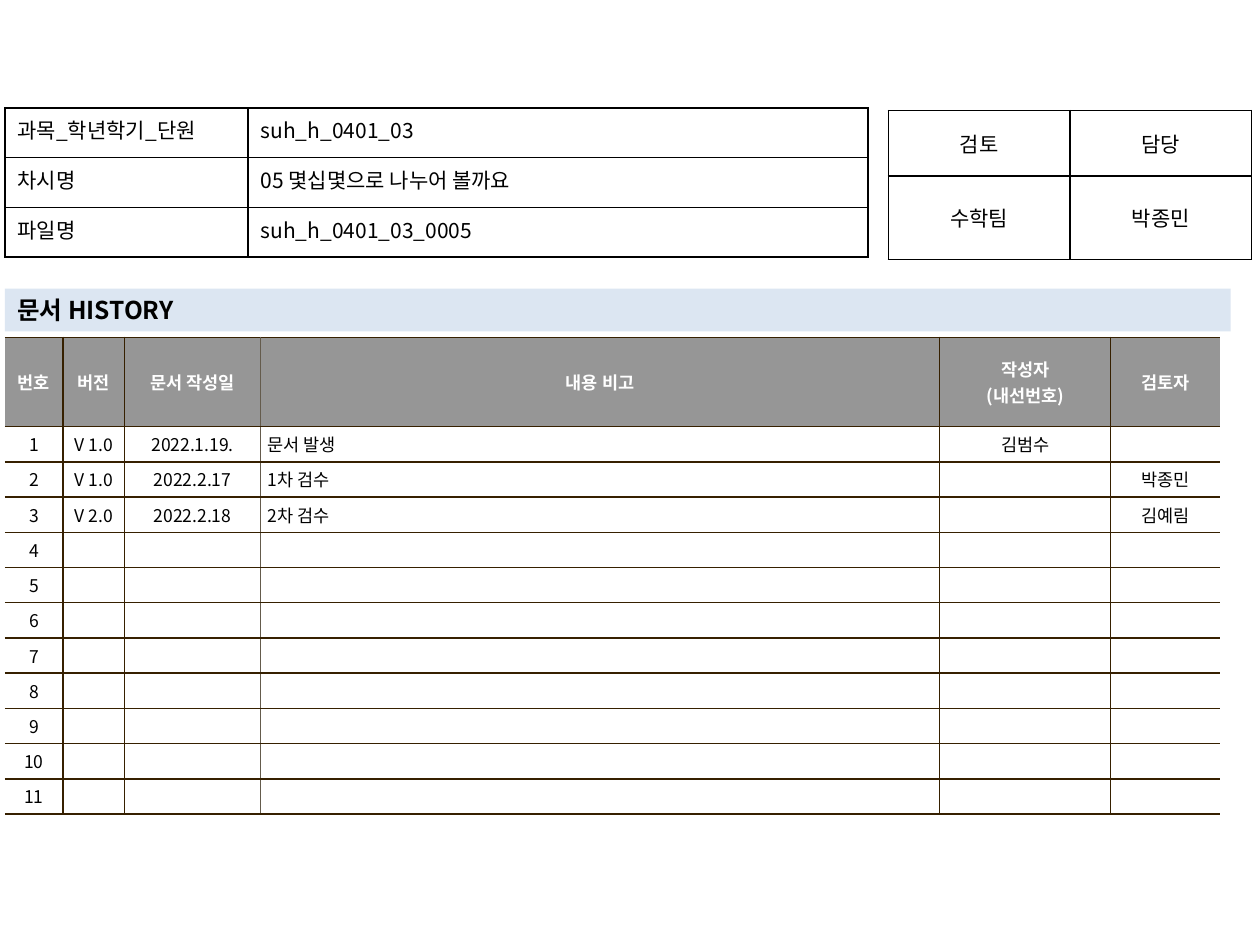
from dataclasses import dataclass

import pptx
import pptx.dml.color
import pptx.enum.shapes
import pptx.enum.text
import pptx.oxml.ns
import pptx.util
from lxml import etree
from pptx.dml.color import RGBColor
from pptx.enum.text import MSO_ANCHOR, PP_ALIGN
from pptx.util import Cm, Pt

FONT = "Noto Sans CJK KR"
BLACK = RGBColor(0x00, 0x00, 0x00)
WHITE = RGBColor(0xFF, 0xFF, 0xFF)
GRAY = RGBColor(0x96, 0x96, 0x96)
BROWN = RGBColor(0x36, 0x20, 0x00)
TAUPE = RGBColor(0x64, 0x5B, 0x4C)
PALE_BLUE = RGBColor(0xDC, 0xE6, 0xF2)


@dataclass(frozen=True)
class TextStyle:
    size: int
    color: RGBColor = BLACK
    bold: bool = False
    align: PP_ALIGN = PP_ALIGN.CENTER
    hanging: float = 0


@dataclass(frozen=True)
class Grid:
    left: float
    top: float
    columns: list[float]
    rows: list[float]
    texts: list[list[str]]


BODY = TextStyle(12)
LABEL = TextStyle(12, align=PP_ALIGN.JUSTIFY)
VALUE = TextStyle(12, align=PP_ALIGN.LEFT)
HEADING = TextStyle(14, bold=True, align=PP_ALIGN.LEFT)
HISTORY_HEAD = TextStyle(10, WHITE, True)
HISTORY_BODY = TextStyle(10)
HISTORY_NOTE = TextStyle(10, align=PP_ALIGN.LEFT, hanging=0.48)

# Content
LESSON = Grid(0.1, 2.18, [4.9, 12.5], [1.0] * 3, [
    ["과목_학년학기_단원 ", "suh_h_0401_03"],
    ["차시명", "05 몇십몇으로 나누어 볼까요"],
    ["파일명", "suh_h_0401_03_0005"],
])
REVIEW = Grid(17.91, 2.23, [3.66, 3.66], [1.32, 1.68], [
    ["검토", "담당"],
    ["수학팀", "박종민"],
])
HISTORY_ENTRIES = [
    ["V 1.0", "2022.1.19.", "문서 발생", "김범수", ""],
    ["V 1.0", "2022.2.17", "1차 검수", "", "박종민"],
    ["V 2.0", "2022.2.18", "2차 검수", "", "김예림"],
] + [[""] * 5] * 8
HISTORY = Grid(0.1, 6.8, [1.17, 1.24, 2.74, 13.69, 3.45, 2.21], [1.8] + [0.71] * 11, [
    ["번호", "버전", "문서 작성일", "내용 비고", "작성자\n(내선번호)", "검토자"],
    *([str(number), *entry] for number, entry in enumerate(HISTORY_ENTRIES, 1)),
])


def style_text(frame, style: TextStyle) -> None:
    for para in frame.paragraphs:
        para.alignment = style.align
        if style.hanging:
            properties = para._p.get_or_add_pPr()
            properties.set("marL", str(Cm(style.hanging)))
            properties.set("indent", str(-Cm(style.hanging)))
        font = para.font
        font.size = Pt(style.size)
        font.bold = style.bold
        font.color.rgb = style.color
        font.name = FONT
        east_asian = etree.SubElement(font._rPr, pptx.oxml.ns.qn("a:ea"))
        east_asian.set("typeface", FONT)


def set_border(cell, side: str, color: RGBColor | None) -> None:
    """Draw one side of a cell, or clear it when there is no colour."""
    qn = pptx.oxml.ns.qn
    line = etree.SubElement(cell._tc.get_or_add_tcPr(), qn(f"a:ln{side}"), w=str(Pt(1)))
    if color is None:
        etree.SubElement(line, qn("a:noFill"))
    else:
        fill = etree.SubElement(line, qn("a:solidFill"))
        etree.SubElement(fill, qn("a:srgbClr"), val=str(color))


def add_grid(page, grid: Grid):
    frame = page.shapes.add_table(
        len(grid.rows), len(grid.columns), Cm(grid.left), Cm(grid.top),
        Cm(sum(grid.columns)), Cm(sum(grid.rows)))
    table = frame.table
    table.first_row = table.horz_banding = False
    for column, width in zip(table.columns, grid.columns):
        column.width = Cm(width)
    for row, height in zip(table.rows, grid.rows):
        row.height = Cm(height)
    for row, texts in zip(table.rows, grid.texts):
        for cell, text in zip(row.cells, texts):
            cell.text = text
    return table


def add_info_table(page, grid: Grid, styles: list[TextStyle], anchor: MSO_ANCHOR) -> None:
    for row in add_grid(page, grid).rows:
        for cell, style in zip(row.cells, styles):
            cell.vertical_anchor = anchor
            for side in "LRTB":
                set_border(cell, side, BLACK)
            cell.fill.background()
            style_text(cell.text_frame, style)


def add_history_table(page) -> None:
    # Vertical rules from left to right; the outer sides stay open
    rules = [None, BROWN, BROWN, TAUPE, BROWN, BROWN, None]
    note_column = 3
    for row_index, row in enumerate(add_grid(page, HISTORY).rows):
        for column_index, cell in enumerate(row.cells):
            cell.vertical_anchor = MSO_ANCHOR.MIDDLE
            cell.margin_left = cell.margin_right = Cm(0.15)
            cell.margin_top = cell.margin_bottom = Cm(0.1)
            set_border(cell, "L", rules[column_index])
            set_border(cell, "R", rules[column_index + 1])
            set_border(cell, "T", BROWN)
            set_border(cell, "B", BROWN)
            cell.fill.solid()
            cell.fill.fore_color.rgb = WHITE if row_index else GRAY
            if row_index == 0:
                style = HISTORY_HEAD
            else:
                style = HISTORY_NOTE if column_index == note_column else HISTORY_BODY
            style_text(cell.text_frame, style)


def add_heading(page) -> None:
    box = page.shapes.add_shape(
        pptx.enum.shapes.MSO_SHAPE.RECTANGLE, Cm(0.1), Cm(5.82), Cm(24.71), Cm(0.86))
    box.shadow.inherit = False
    box.fill.solid()
    box.fill.fore_color.rgb = PALE_BLUE
    box.line.fill.background()
    box.text_frame.word_wrap = True
    box.text_frame.vertical_anchor = MSO_ANCHOR.MIDDLE
    box.text_frame.text = "문서 HISTORY"
    style_text(box.text_frame, HEADING)


def main() -> None:
    deck = pptx.Presentation()
    deck.slide_width, deck.slide_height = Cm(25.4), Cm(19.05)
    page = deck.slides.add_slide(deck.slide_layouts[6])

    # Document history
    add_history_table(page)
    add_heading(page)

    # Lesson details and reviewers
    add_info_table(page, REVIEW, [BODY, BODY], MSO_ANCHOR.MIDDLE)
    add_info_table(page, LESSON, [LABEL, VALUE], MSO_ANCHOR.TOP)

    deck.save("out.pptx")


if __name__ == "__main__":
    main()
